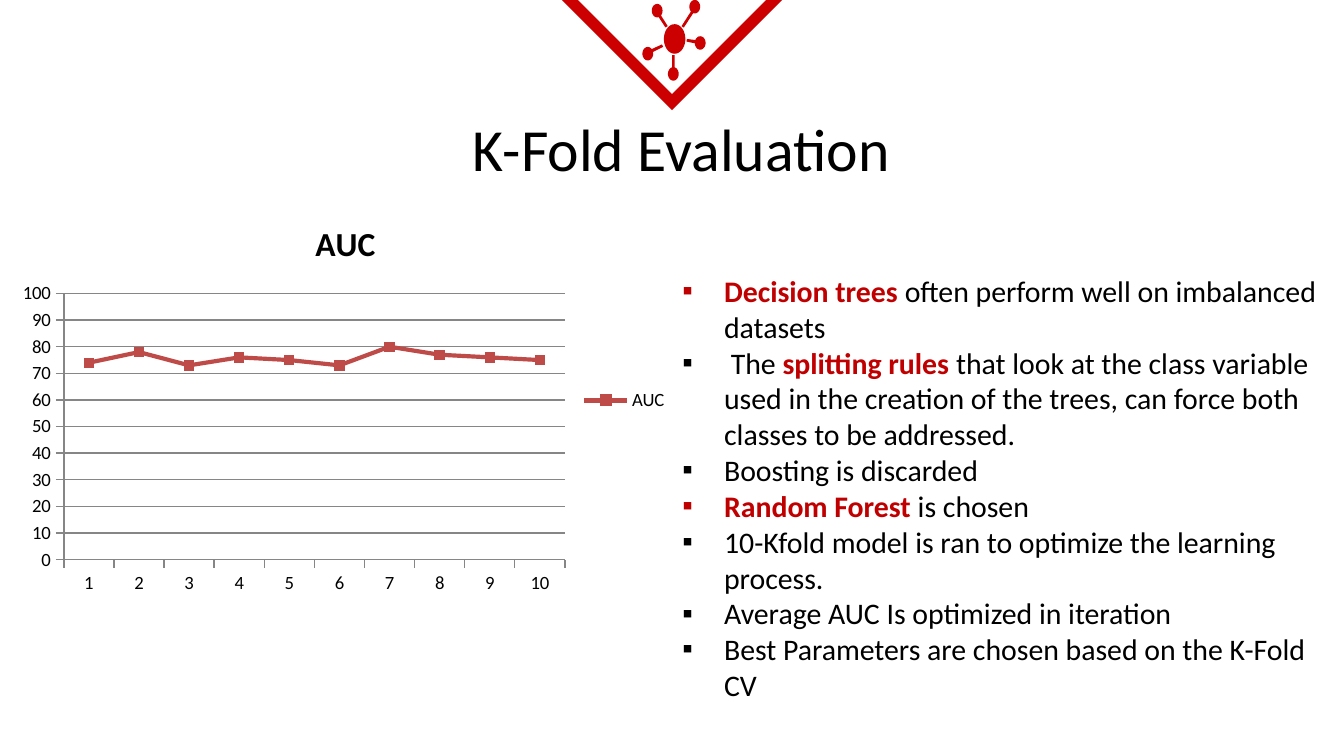
import math

import pptx
import pptx.chart.data
import pptx.dml.color
import pptx.enum.chart
import pptx.enum.shapes
import pptx.enum.text
import pptx.oxml
import pptx.oxml.ns
import pptx.util
from pptx.util import Inches

FONT = "Calibri"
RED = "CC0000"
ACCENT = "C00000"
BLACK = "000000"
GRID = "868686"
LINE = "BE4B48"

HUB = (5.02, 0.29)
NODES = [
    ((5.17, 0.05), (5.08, 0.2)),
    ((4.89, 0.08), (4.96, 0.2)),
    ((4.82, 0.4), (4.93, 0.34)),
    ((5.01, 0.55), (5.01, 0.41)),
    ((5.21, 0.32), (5.11, 0.3)),
]
AUC = [74, 78, 73, 76, 75, 73, 80, 77, 76, 75]
BULLETS = [
    [("Decision trees ", True), ("often perform well on imbalanced datasets", False)],
    [(" The ", False), ("splitting rules ", True),
     ("that look at the class variable used in the creation of the trees, "
      "can force both classes to be addressed.", False)],
    [("Boosting is discarded", False)],
    [("Random Forest ", True), ("is chosen", False)],
    [("10-Kfold model is ran to optimize the learning process.", False)],
    [("Average AUC Is optimized in iteration", False)],
    [("Best Parameters are chosen based on the K-Fold CV", False)],
]


def rgb(value):
    return pptx.dml.color.RGBColor.from_string(value)


def add_xml(parent, body):
    ns = pptx.oxml.ns.nsdecls("a")
    parent.append(pptx.oxml.parse_xml(f"<a:{body[0]} {ns} {body[1]}/>"))


def set_font(font, size, color=BLACK, bold=False):
    font.name = FONT
    font.size = pptx.util.Pt(size)
    font.bold = bold
    font.color.rgb = rgb(color)


def set_line(line, color, width):
    line.color.rgb = rgb(color)
    line.width = pptx.util.Pt(width)


def add_text_box(s, left, top, width, height, inset=None):
    sp = s.shapes.add_textbox(Inches(left), Inches(top), Inches(width), Inches(height))
    tf = sp.text_frame
    tf.word_wrap = True
    if inset is not None:
        tf.margin_left = tf.margin_right = Inches(inset)
        tf.margin_top = tf.margin_bottom = Inches(inset)
    return tf


def add_chevron(s):
    sp = s.shapes.add_shape(
        pptx.enum.shapes.MSO_SHAPE.ISOSCELES_TRIANGLE,
        Inches(4.18), Inches(-0.06), Inches(1.64), Inches(0.82))
    sp.rotation = 180
    sp.shadow.inherit = False
    sp.fill.background()
    set_line(sp.line, RED, 6)
    add_xml(sp.line._get_or_add_ln(), ("miter", 'lim="800000"'))


def ellipse_points(center, rx, ry, start=0, sweep=2 * math.pi, steps=36):
    angles = [start + sweep * i / steps for i in range(steps + 1)]
    return [(center[0] + rx * math.cos(a), center[1] + ry * math.sin(a)) for a in angles]


def node_points(center, tip):
    dx, dy = tip[0] - center[0], tip[1] - center[1]
    length = math.hypot(dx, dy)
    nx, ny = -dy / length * 0.01, dx / length * 0.01
    gap = 0.25
    start = math.atan2(dy, dx) + gap
    points = ellipse_points(center, 0.04, 0.05, start, 2 * math.pi - 2 * gap)
    return points + [(tip[0] - nx, tip[1] - ny), (tip[0] + nx, tip[1] + ny)]


def add_outline(shapes, points):
    pts = [(Inches(x), Inches(y)) for x, y in points]
    builder = shapes.build_freeform(*pts[0])
    builder.add_line_segments(pts[1:], close=True)
    sp = builder.convert_to_shape()
    sp.shadow.inherit = False
    sp.fill.solid()
    sp.fill.fore_color.rgb = rgb(RED)
    sp.line.fill.background()


def add_network_icon(s):
    group = s.shapes.add_group_shape()
    for center, tip in NODES:
        add_outline(group.shapes, node_points(center, tip))
    add_outline(group.shapes, ellipse_points(HUB, 0.08, 0.11))


def add_title(s, text):
    p = add_text_box(s, 3.11, 0.73, 3.92, 0.59, inset=0.1).paragraphs[0]
    p.text = text
    p.alignment = pptx.enum.text.PP_ALIGN.CENTER
    set_font(p.font, 32)


def set_bullet(p):
    pPr = p._p.get_or_add_pPr()
    pPr.set("marL", str(Inches(0.31)))
    pPr.set("indent", str(Inches(-0.31)))
    add_xml(pPr, ("buFont", 'typeface="Arial"'))
    add_xml(pPr, ("buChar", 'char="▪"'))


def add_bullets(s):
    tf = add_text_box(s, 4.98, 1.98, 5, 4.14)
    for i, runs in enumerate(BULLETS):
        p = tf.paragraphs[0] if i == 0 else tf.add_paragraph()
        set_bullet(p)
        for text, strong in runs:
            r = p.add_run()
            r.text = text
            set_font(r.font, 16, ACCENT if strong else BLACK, strong)


def style_axis(axis):
    axis.major_tick_mark = pptx.enum.chart.XL_TICK_MARK.OUTSIDE
    axis.minor_tick_mark = pptx.enum.chart.XL_TICK_MARK.NONE
    set_line(axis.format.line, GRID, 0.75)


def add_auc_chart(s):
    data = pptx.chart.data.CategoryChartData()
    data.categories = [str(i) for i in range(1, len(AUC) + 1)]
    data.add_series("AUC", AUC)
    chart = s.shapes.add_chart(
        pptx.enum.chart.XL_CHART_TYPE.LINE_MARKERS,
        Inches(0.07), Inches(1.48), Inches(5), Inches(3), data).chart
    set_font(chart.font, 10)

    chart.has_title = True
    p = chart.chart_title.text_frame.paragraphs[0]
    p.text = "AUC"
    set_font(p.font, 18, bold=True)
    chart.has_legend = True
    chart.legend.position = pptx.enum.chart.XL_LEGEND_POSITION.RIGHT
    chart.legend.include_in_layout = False

    style_axis(chart.category_axis)
    axis = chart.value_axis
    style_axis(axis)
    axis.minimum_scale, axis.maximum_scale, axis.major_unit = 0, 100, 10
    axis.has_major_gridlines = True
    set_line(axis.major_gridlines.format.line, GRID, 0.75)

    chart.plots[0].vary_by_categories = False
    series = chart.plots[0].series[0]
    series.smooth = False
    set_line(series.format.line, LINE, 2.25)
    marker = series.marker
    marker.style = pptx.enum.chart.XL_MARKER_STYLE.SQUARE
    marker.size = 5
    marker.format.fill.solid()
    marker.format.fill.fore_color.rgb = rgb(LINE)
    marker.format.line.color.rgb = rgb(LINE)


def main():
    prs = pptx.Presentation()
    prs.slide_width = Inches(10)
    prs.slide_height = prs.slide_width * 9 // 16
    s = prs.slides.add_slide(prs.slide_layouts[6])
    add_chevron(s)
    add_title(s, "K-Fold Evaluation")
    add_network_icon(s)
    add_bullets(s)
    add_auc_chart(s)
    prs.save("out.pptx")


if __name__ == "__main__":
    main()
